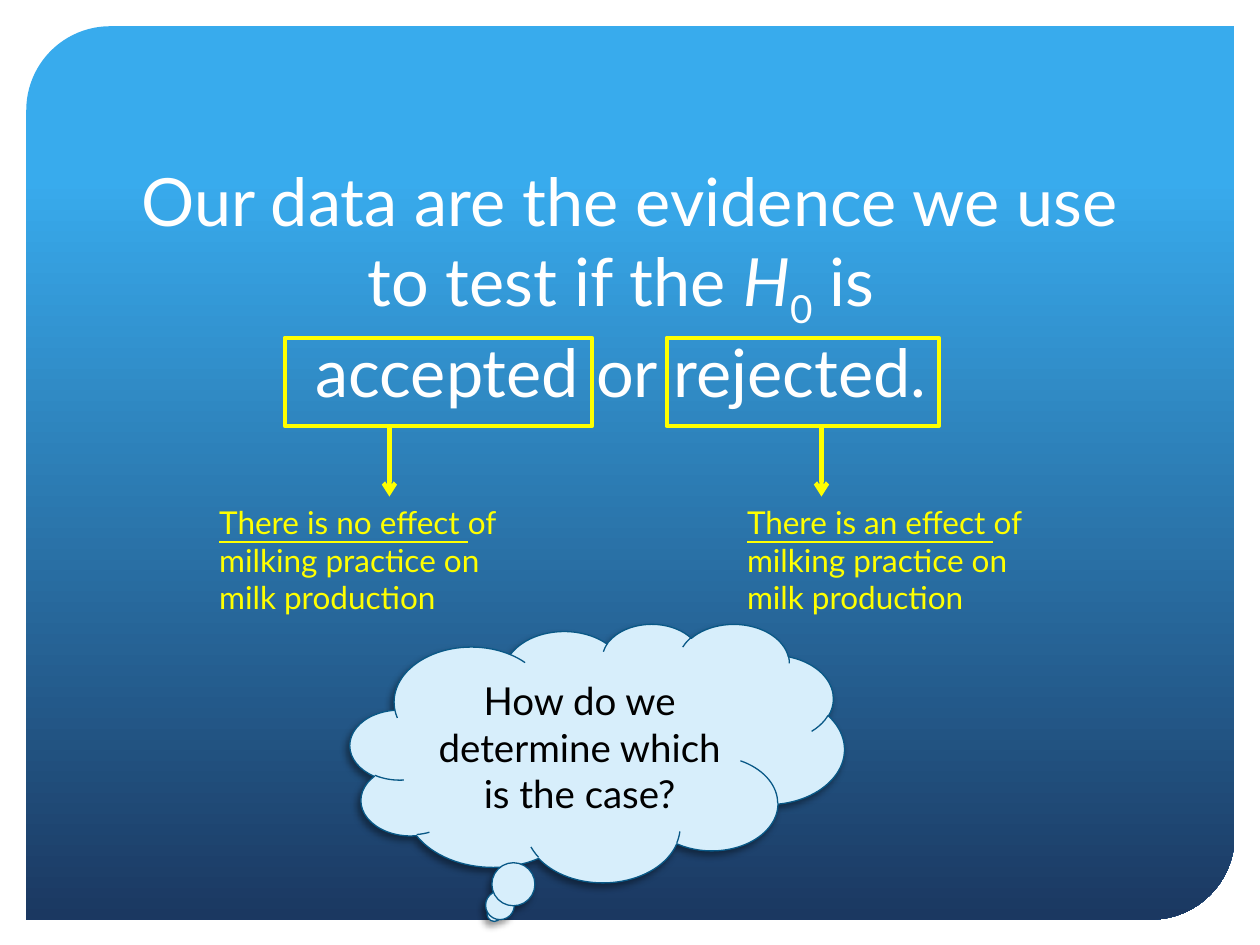
from dataclasses import dataclass

from lxml import etree
from pptx import Presentation
from pptx.dml.color import RGBColor
from pptx.enum import shapes, text
from pptx.oxml import ns
from pptx.util import Cm, Pt

WHITE = RGBColor(0xFF, 0xFF, 0xFF)
BLACK = RGBColor(0x00, 0x00, 0x00)
YELLOW = RGBColor(0xFF, 0xFF, 0x00)
SKY = RGBColor(0x38, 0xAB, 0xED)
NAVY = RGBColor(0x1B, 0x38, 0x61)
CLOUD_FILL = RGBColor(0xD7, 0xEE, 0xFB)
CLOUD_LINE = RGBColor(0x09, 0x58, 0x86)
FONT = "Lato"


@dataclass
class Box:
    left: float
    top: float
    width: float
    height: float

    def lengths(self) -> tuple:
        return Cm(self.left), Cm(self.top), Cm(self.width), Cm(self.height)


@dataclass
class Outcome:
    """A framed title word with an arrow down to its meaning."""
    frame_left: float
    frame_width: float
    arrow_x: float
    note_left: float
    underlined: str


FRAME_TOP, FRAME_HEIGHT = 6.81, 1.78
NOTE_TOP = 10.01
NOTE_REST = "of milking practice on milk production"
OUTCOMES = [
    Outcome(5.74, 6.2, 7.85, 4.17, "There is no effect "),
    Outcome(13.44, 5.49, 16.56, 14.81, "There is an effect "),
]


def add_preset(slide, kind, box: Box):
    shape = slide.shapes.add_shape(kind, *box.lengths())
    shape.shadow.inherit = False
    return shape


def add_text_box(slide, box: Box):
    shape = slide.shapes.add_textbox(*box.lengths())
    shape.text_frame.word_wrap = True
    return shape


def style_font(font, size: float, color: RGBColor) -> None:
    font.name = FONT
    font.size = Pt(size)
    font.color.rgb = color


def add_run(paragraph, words: str, size: float, color: RGBColor):
    run = paragraph.add_run()
    run.text = words
    style_font(run.font, size, color)
    return run


def draw_panel(slide) -> None:
    panel = add_preset(slide, shapes.MSO_SHAPE.ROUND_2_DIAG_RECTANGLE,
                       Box(0.53, 0.53, 24.36, 18.01))
    panel.adjustments[0] = 0.094
    panel.adjustments[1] = 0
    panel.line.fill.background()
    panel.fill.gradient()
    panel.fill.gradient_angle = 270
    for stop, position, color in zip(panel.fill.gradient_stops, (0.17, 1), (SKY, NAVY)):
        stop.position = position
        stop.color.rgb = color


def draw_title(slide) -> None:
    title = add_text_box(slide, Box(2.16, 5.51, 21.06, 2.9))
    title.text_frame.vertical_anchor = text.MSO_ANCHOR.BOTTOM
    paragraph = title.text_frame.paragraphs[0]
    paragraph.text = "Our data are the evidence we use to test if the "
    paragraph.alignment = text.PP_ALIGN.CENTER
    style_font(paragraph.runs[0].font, 38, WHITE)
    add_run(paragraph, "H", 38, WHITE).font.italic = True
    subscript = add_run(paragraph, "0", 38, WHITE)
    subscript.font._element.set("baseline", "-25000")
    add_run(paragraph, " is ", 38, WHITE)
    paragraph.add_line_break()
    add_run(paragraph, "accepted or rejected. ", 38, WHITE)


def draw_arrow(slide, x: float, top: float, bottom: float) -> None:
    arrow = slide.shapes.add_connector(shapes.MSO_CONNECTOR.STRAIGHT,
                                       Cm(x), Cm(top), Cm(x), Cm(bottom))
    arrow.line.color.rgb = YELLOW
    arrow.line.width = Pt(2.5)
    etree.SubElement(arrow.line._get_or_add_ln(), ns.qn("a:tailEnd"), type="arrow")
    etree.SubElement(arrow._element.spPr, ns.qn("a:effectLst"))


def draw_outcome(slide, outcome: Outcome) -> None:
    draw_arrow(slide, outcome.arrow_x, FRAME_TOP + FRAME_HEIGHT, NOTE_TOP)

    note = add_text_box(slide, Box(outcome.note_left, NOTE_TOP, 6.3, 2.57))
    note.text_frame.auto_size = text.MSO_AUTO_SIZE.SHAPE_TO_FIT_TEXT
    paragraph = note.text_frame.paragraphs[0]
    add_run(paragraph, outcome.underlined, 18, YELLOW).font.underline = True
    add_run(paragraph, NOTE_REST, 18, YELLOW)

    frame = add_preset(slide, shapes.MSO_SHAPE.RECTANGLE,
                       Box(outcome.frame_left, FRAME_TOP, outcome.frame_width, FRAME_HEIGHT))
    frame.fill.background()
    frame.line.color.rgb = YELLOW
    frame.line.width = Pt(2.25)


def draw_cloud(slide) -> None:
    cloud = add_preset(slide, shapes.MSO_SHAPE.CLOUD_CALLOUT,
                       Box(7.06, 12.57, 9.96, 5.21))
    cloud.fill.solid()
    cloud.fill.fore_color.rgb = CLOUD_FILL
    cloud.line.color.rgb = CLOUD_LINE
    cloud.line.width = Pt(0.75)
    cloud.text_frame.text = "How do we determine which is the case?"
    cloud.text_frame.word_wrap = True
    cloud.text_frame.vertical_anchor = text.MSO_ANCHOR.MIDDLE
    paragraph = cloud.text_frame.paragraphs[0]
    paragraph.alignment = text.PP_ALIGN.CENTER
    style_font(paragraph.runs[0].font, 22, BLACK)

    # Soft shadow to the lower left
    effects = cloud._element.spPr.find(ns.qn("a:effectLst"))
    shadow = etree.SubElement(effects, ns.qn("a:outerShdw"), blurRad=str(Pt(4)),
                              dist=str(Pt(3)), dir="8100000", rotWithShape="0")
    color = etree.SubElement(shadow, ns.qn("a:srgbClr"), val=str(BLACK))
    etree.SubElement(color, ns.qn("a:alpha"), val="40000")


def main() -> None:
    presentation = Presentation()
    presentation.slide_width = Cm(25.4)
    presentation.slide_height = Cm(19.05)
    slide = presentation.slides.add_slide(presentation.slide_layouts[6])

    # Background and title
    draw_panel(slide)
    draw_title(slide)

    # The two possible outcomes
    for outcome in OUTCOMES:
        draw_outcome(slide, outcome)

    # Closing question
    draw_cloud(slide)

    presentation.save("out.pptx")


if __name__ == "__main__":
    main()
